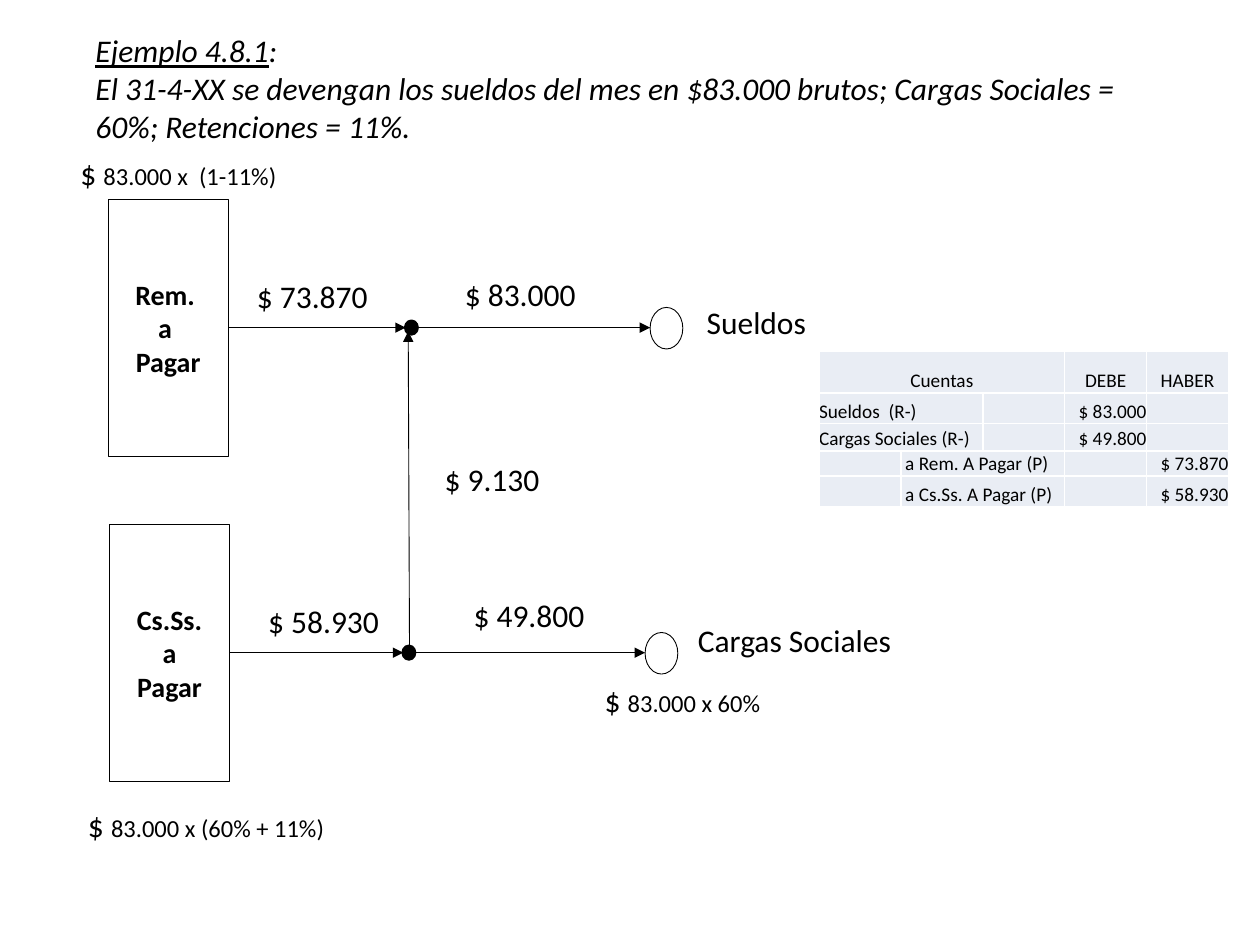
"""Build a slide with a payroll accrual diagram and its journal entry."""
import pptx
import pptx.util
import pptx.dml.color
import pptx.enum.shapes
import pptx.enum.text
import pptx.oxml
import pptx.oxml.ns
import lxml.etree

Inches = pptx.util.Inches
Pt = pptx.util.Pt
Align = pptx.enum.text.PP_ALIGN
Anchor = pptx.enum.text.MSO_ANCHOR
Kind = pptx.enum.shapes.MSO_SHAPE
qn = pptx.oxml.ns.qn
COLORS = {"ink": "000000", "cell": "E9EDF4", "edge": "FFFFFF"}


def color(name):
    return pptx.dml.color.RGBColor.from_string(COLORS[name])


def write(frame, *lines, size=18, align=None, **style):
    for i, line in enumerate(lines):
        para = frame.paragraphs[0] if i == 0 else frame.add_paragraph()
        para.alignment = align
        for text, extra in [(line, {})] if isinstance(line, str) else line:
            run = para.add_run()
            run.text = text
            font = run.font
            font.name = "Calibri"
            font.size = Pt(extra.get("size", size))
            font.color.rgb = color("ink")
            for key, value in {**style, **extra}.items():
                if key != "size":
                    setattr(font, key, value)


def label(slide, x, y, w, *lines, h=0.4, wrap=False, **style):
    frame = slide.shapes.add_textbox(Inches(x), Inches(y), Inches(w), Inches(h)).text_frame
    frame.word_wrap = wrap
    frame.auto_size = pptx.enum.text.MSO_AUTO_SIZE.SHAPE_TO_FIT_TEXT
    write(frame, *lines, **style)


def formula(slide, x, y, w, text):
    label(slide, x, y, w, [("$ ", {}), (text, {"size": 14})])


def shape(slide, kind, x, y, w, h, fill=None, width=0.5):
    item = slide.shapes.add_shape(kind, Inches(x), Inches(y), Inches(w), Inches(h))
    item.shadow.inherit = False
    if fill:
        item.fill.solid()
        item.fill.fore_color.rgb = color(fill)
    else:
        item.fill.background()
    item.line.color.rgb = color("ink")
    item.line.width = Pt(width)
    return item


def box(slide, x, y, *lines):
    frame = shape(slide, Kind.RECTANGLE, x, y, 0.95, 2.04).text_frame
    frame.word_wrap = True
    frame.vertical_anchor = Anchor.MIDDLE
    write(frame, *lines, size=16, align=Align.CENTER, bold=True)


def arrow(slide, x1, y1, x2, y2):
    line = slide.shapes.add_connector(
        pptx.enum.shapes.MSO_CONNECTOR.STRAIGHT,
        Inches(x1), Inches(y1), Inches(x2), Inches(y2))
    line.line.color.rgb = color("ink")
    line.line.width = Pt(0.5)
    props = line._element.spPr
    lxml.etree.SubElement(props.find(qn("a:ln")), qn("a:tailEnd"), type="triangle")
    lxml.etree.SubElement(props, qn("a:effectLst"))


def flow(slide, y, start, node, end):
    arrow(slide, start, y, node, y)
    shape(slide, Kind.OVAL, node, y - 0.05, 0.09, 0.1, fill="ink", width=2)
    arrow(slide, node + 0.09, y, end, y)
    shape(slide, Kind.OVAL, end, y - 0.16, 0.26, 0.33)


def border(cell):
    props = cell._tc.get_or_add_tcPr()
    for i, side in enumerate(("lnL", "lnR", "lnT", "lnB")):
        line = lxml.etree.Element(qn("a:" + side), w=str(Pt(1)))
        fill = lxml.etree.SubElement(line, qn("a:solidFill"))
        lxml.etree.SubElement(fill, qn("a:srgbClr"), val=COLORS["edge"])
        props.insert(i, line)


def paint(cell, text, align):
    cell.margin_left = cell.margin_right = cell.margin_top = cell.margin_bottom = 0
    cell.vertical_anchor = Anchor.BOTTOM
    cell.fill.solid()
    cell.fill.fore_color.rgb = color("cell")
    border(cell)
    if text:
        write(cell.text_frame, text, size=11, align=align)
    else:
        para = cell.text_frame.paragraphs[0]._p
        lxml.etree.SubElement(para, qn("a:endParaRPr"), sz="1100")


def journal(slide):
    rows = [
        ["Cuentas", "", "", "DEBE", "HABER"],
        ["Sueldos  (R-)", "", "", "$ 83.000", ""],
        ["Cargas Sociales (R-)", "", "", "$ 49.800", ""],
        ["", " a Rem. A Pagar (P)", "", "", "$ 73.870"],
        ["", " a Cs.Ss. A Pagar (P)", "", "", "$ 58.930"],
    ]
    spans = [(0, 2), (0, 1), (0, 1), (1, 2), (1, 2)]
    heights = [0.33, 0.24, 0.22, 0.2, 0.24]
    table = slide.shapes.add_table(
        5, 5, Inches(6.5), Inches(2.79), Inches(3.25), Inches(sum(heights))).table
    table.first_row = table.horz_banding = False
    for col in table.columns:
        col.width = Inches(0.65)
    for r, (row, (first, last)) in enumerate(zip(rows, spans)):
        table.rows[r].height = Inches(heights[r])
        for c, text in enumerate(row):
            align = Align.CENTER if r == 0 else Align.RIGHT if c > 2 else Align.LEFT
            paint(table.cell(r, c), text, align)
        table.cell(r, first).merge(table.cell(r, last))


def main():
    deck = pptx.Presentation()
    deck.slide_width, deck.slide_height = Inches(10), Inches(7.5)
    slide = deck.slides.add_slide(deck.slide_layouts[6])
    label(slide, 0.66, 0.2, 8.8,
          [("Ejemplo 4.8.1", {"underline": True}), (":", {})],
          "El 31-4-XX se devengan los sueldos del mes en $83.000 brutos; "
          "Cargas Sociales = 60%; Retenciones = 11%.",
          h=1.01, wrap=True, italic=True)
    box(slide, 0.86, 1.58, "Rem. ", "a ", "Pagar")
    box(slide, 0.87, 4.16, "Cs.Ss.", "a", "Pagar")
    flow(slide, 2.6, 1.81, 3.22, 5.16)
    flow(slide, 5.18, 1.82, 3.2, 5.12)
    arrow(slide, 3.25, 5.13, 3.24, 2.63)
    for x, y, w, text in [
        (1.94, 2.15, 1.15, "$ 73.870"),
        (3.59, 2.13, 1.09, "$ 83.000"),
        (3.43, 3.6, 0.96, "$ 9.130"),
        (2.03, 4.73, 1.09, "$ 58.930"),
        (3.66, 4.68, 1.09, "$ 49.800"),
    ]:
        label(slide, x, y, w, text)
    label(slide, 5.51, 2.36, 1.51, "Sueldos", wrap=True)
    label(slide, 5.44, 4.88, 1.85, "Cargas Sociales", wrap=True)
    formula(slide, 0.54, 1.17, 1.77, "83.000 x  (1-11%)")
    formula(slide, 4.7, 5.36, 1.45, "83.000 x 60%")
    formula(slide, 0.6, 6.35, 2.1, "83.000 x (60% + 11%)")
    journal(slide)
    deck.save("out.pptx")


if __name__ == "__main__":
    main()
